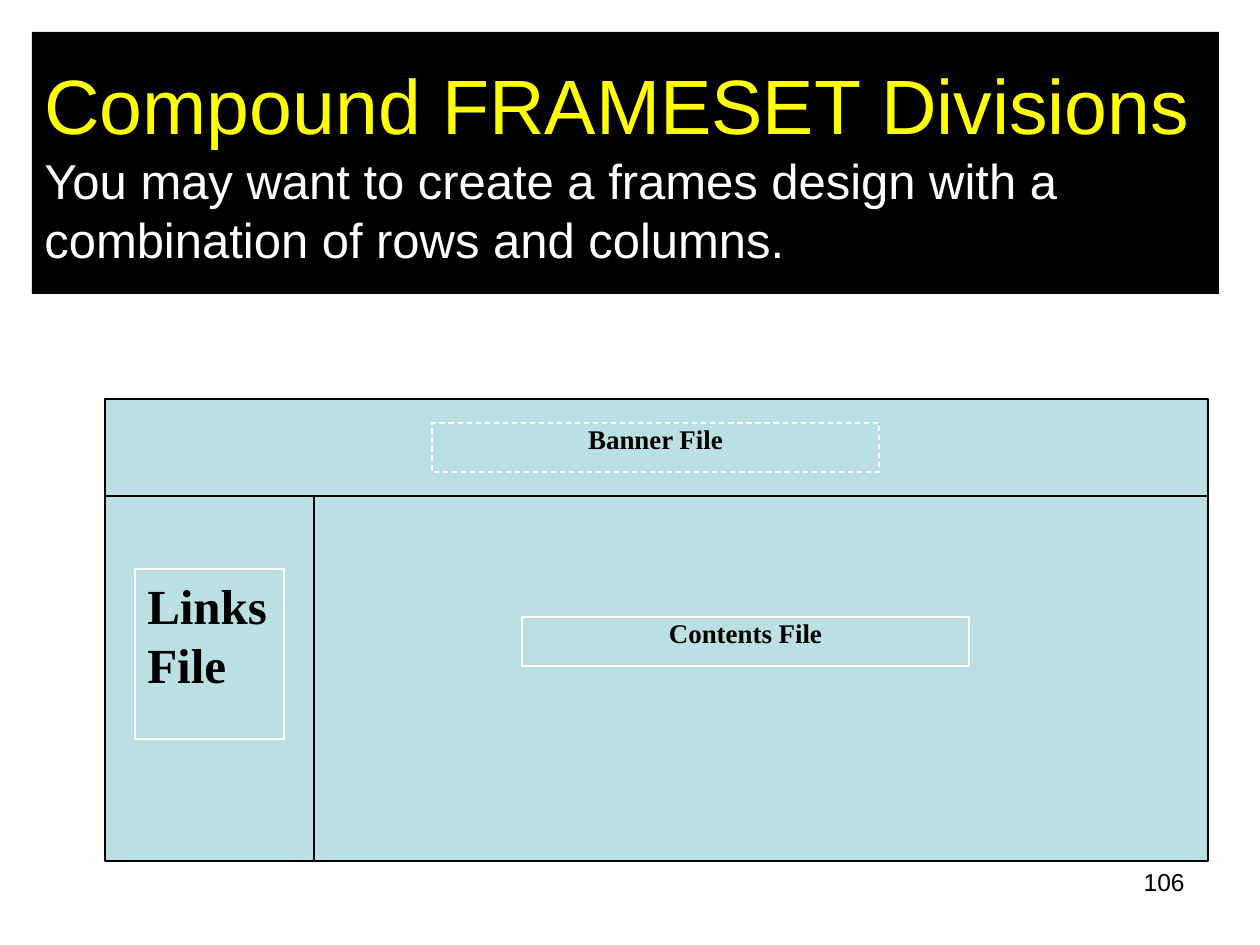
from dataclasses import dataclass
from typing import Optional

from pptx import Presentation
from pptx.dml.color import RGBColor
from pptx.enum.dml import MSO_LINE
from pptx.enum.shapes import MSO_CONNECTOR, MSO_SHAPE
from pptx.enum.text import MSO_ANCHOR, PP_ALIGN
from pptx.oxml.ns import qn
from pptx.util import Emu, Pt

PIXELS_PER_INCH = 126
BLACK, WHITE, YELLOW, PANE = "000000", "FFFFFF", "FFFF00", "BBE0E3"
SANS, SERIF = "Arial", "Times New Roman"


@dataclass(frozen=True)
class Area:
    """A rectangle on the slide, in px."""
    left: int
    top: int
    width: int
    height: int


@dataclass(frozen=True)
class FrameLabel:
    """The caption box of one frame."""
    area: Area
    lines: tuple[str, ...]
    size: float = 15.4
    align: PP_ALIGN = PP_ALIGN.CENTER
    spacing: Optional[float] = 0.8
    dash: Optional[MSO_LINE] = None


LABELS = (
    FrameLabel(Area(432, 423, 447, 49), ("Banner File",), dash=MSO_LINE.DASH),
    FrameLabel(Area(522, 617, 447, 49), ("Contents File",)),
    FrameLabel(Area(135, 569, 149, 170), ("Links", "File"),
               size=28, align=PP_ALIGN.LEFT, spacing=None),
)


def px(length: int) -> Emu:
    """Turn px into EMU."""
    return Emu(round(length * 914400 / PIXELS_PER_INCH))


def color(value: str) -> RGBColor:
    """Turn a hex string into a colour."""
    return RGBColor.from_string(value)


def bounds(area: Area) -> tuple[Emu, ...]:
    """Give left, top, width and height in EMU."""
    return tuple(px(n) for n in (area.left, area.top, area.width, area.height))


def add_rectangle(page, area: Area, fill: str, line: Optional[str] = None,
                  dash: Optional[MSO_LINE] = None):
    """Draw a filled rectangle with an optional outline."""
    box = page.shapes.add_shape(MSO_SHAPE.RECTANGLE, *bounds(area))
    box.shadow.inherit = False
    box.fill.solid()
    box.fill.fore_color.rgb = color(fill)
    if line is None:
        box.line.fill.background()
    else:
        box.line.color.rgb = color(line)
        box.line.width = Pt(0.75)
        if dash is not None:
            box.line.dash_style = dash
    box.text_frame.word_wrap = True
    box.text_frame.vertical_anchor = MSO_ANCHOR.TOP
    return box


def add_divider(page, start: tuple[int, int], end: tuple[int, int]) -> None:
    """Draw a thin straight line between two frames."""
    divider = page.shapes.add_connector(
        MSO_CONNECTOR.STRAIGHT, *(px(n) for n in start + end))
    divider.line.color.rgb = color(BLACK)
    divider.line.width = Pt(0.75)
    properties = divider._element.spPr
    properties.append(properties.makeelement(qn("a:effectLst"), {}))


def add_span(para, text: str, *, size: float, font: str = SANS,
             fill: str = BLACK, bold: bool = False,
             align: PP_ALIGN = PP_ALIGN.LEFT,
             spacing: Optional[float] = None) -> None:
    """Add formatted text to a paragraph."""
    para.alignment = align
    if spacing is not None:
        para.line_spacing = spacing
    span = para.add_run()
    span.text = text
    span.font.size = Pt(size)
    span.font.name = font
    span.font.bold = bold
    span.font.color.rgb = color(fill)


def add_title(page) -> None:
    """Draw the title band with its explanation."""
    box = add_rectangle(page, Area(32, 32, 1187, 262), BLACK)
    box.text_frame.vertical_anchor = MSO_ANCHOR.MIDDLE
    para = box.text_frame.paragraphs[0]
    add_span(para, "Compound FRAMESET Divisions", size=44, fill=YELLOW)
    para.add_line_break()
    add_span(para, "You may want to create a frames design with a "
             "combination of rows and columns.", size=28, fill=WHITE)


def add_label(page, label: FrameLabel) -> None:
    """Draw one frame caption."""
    box = add_rectangle(page, label.area, PANE, WHITE, label.dash)
    for index, text in enumerate(label.lines):
        frame = box.text_frame
        para = frame.add_paragraph() if index else frame.paragraphs[0]
        add_span(para, text, size=label.size, font=SERIF, bold=True,
                 align=label.align, spacing=label.spacing)


def add_frameset(page) -> None:
    """Draw the browser window, its dividers and its captions."""
    window = Area(105, 399, 1103, 462)
    right, bottom = window.left + window.width, window.top + window.height
    banner_bottom, links_right = 496, 314
    add_rectangle(page, window, PANE, BLACK)
    add_divider(page, (right, banner_bottom), (window.left, banner_bottom))
    add_divider(page, (links_right, banner_bottom), (links_right, bottom))
    for label in LABELS:
        add_label(page, label)


def add_page_number(page) -> None:
    """Write the page number at the bottom right."""
    box = page.shapes.add_textbox(*bounds(Area(903, 861, 294, 66)))
    box.text_frame.word_wrap = True
    add_span(box.text_frame.paragraphs[0], "106", size=14, align=PP_ALIGN.RIGHT)


def main() -> None:
    """Build and save the deck."""
    deck = Presentation()
    deck.slide_width, deck.slide_height = px(1260), px(945)
    page = deck.slides.add_slide(deck.slide_layouts[6])
    add_page_number(page)
    add_title(page)
    add_frameset(page)
    deck.save("out.pptx")


if __name__ == "__main__":
    main()
